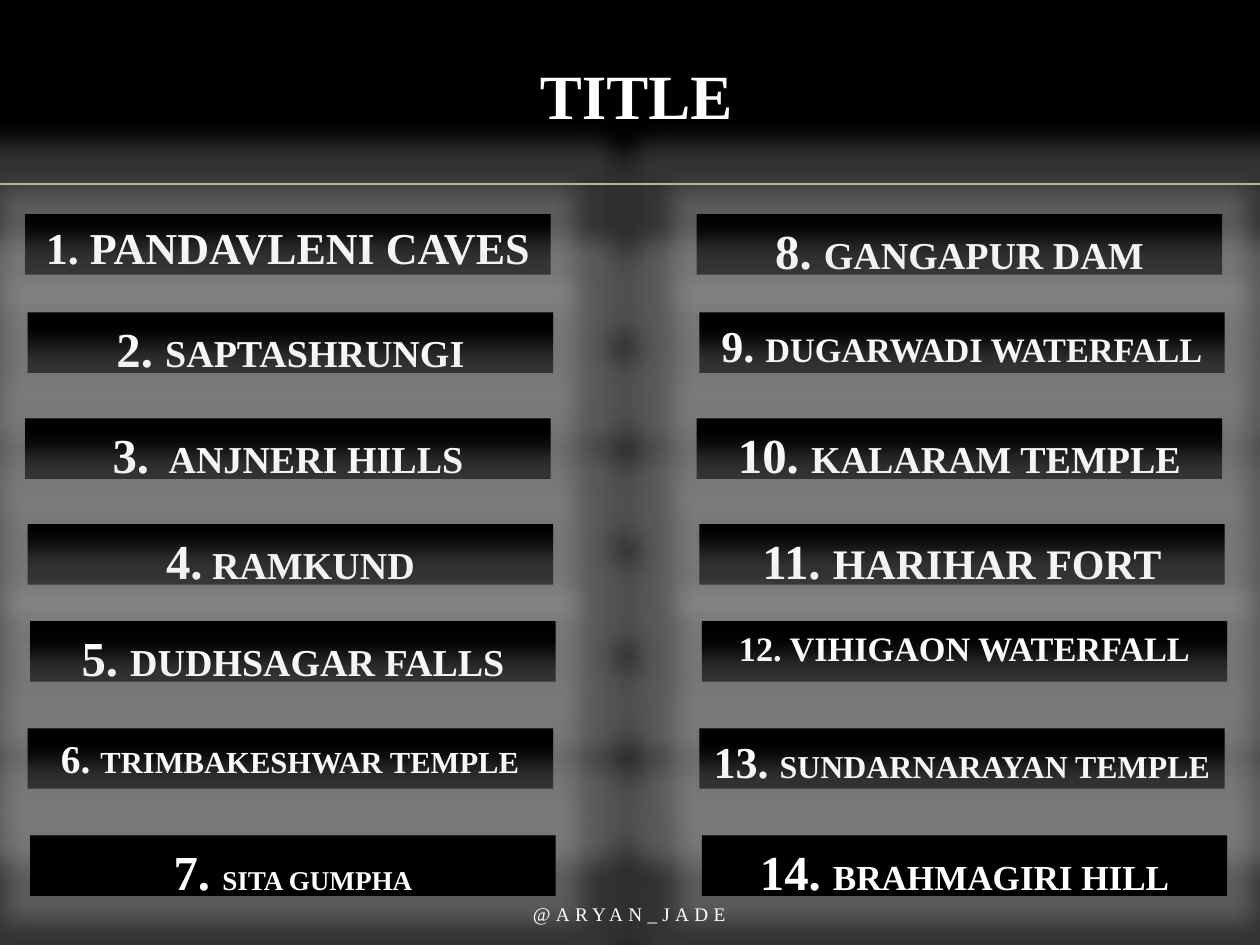
from lxml.etree import SubElement
from pptx import Presentation
from pptx.dml.color import RGBColor
from pptx.enum.shapes import MSO_CONNECTOR as CONNECTOR, MSO_SHAPE as SHAPE
from pptx.enum.text import MSO_ANCHOR as ANCHOR, PP_ALIGN as ALIGN
from pptx.oxml.ns import qn
from pptx.util import Inches, Pt

COLORS = {"black": "000000", "white": "FFFFFF", "rule": "BBAA8A"}
FONT = "Times New Roman"

# Each row: top, sideways nudge, then the left and right entry as (text, size) runs
ROWS = [
    (1.70, 0.00, [("1. PANDAVLENI CAVES", 25.2)],
     [("8. ", 27.9), ("GANGAPUR DAM", 21.7)]),
    (2.48, 0.02, [("2. ", 27.9), ("SAPTASHRUNGI", 21.7)],
     [("9. ", 25.2), ("DUGARWADI WATERFALL", 19.6)]),
    (3.32, 0.00, [("3. ", 27.9), (" ANJNERI HILLS", 21.7)],
     [("10. ", 27.9), ("KALARAM TEMPLE", 21.7)]),
    (4.16, 0.02, [("4.", 27.9), (" RAMKUND", 21.7)],
     [("11. ", 27.9), ("HARIHAR FORT", 24)]),
    (4.93, 0.04, [("5. ", 27.9), ("DUDHSAGAR FALLS", 21.7)],
     [("12. VIHIGAON WATERFALL", 19.6)]),
    (5.78, 0.02, [("6. ", 22.5), ("TRIMBAKESHWAR TEMPLE", 17.5)],
     [("13. ", 25.2), ("SUNDARNARAYAN TEMPLE", 18.2)]),
    (6.63, 0.04, [("7. ", 27.9), ("SITA GUMPHA", 15.5)],
     [("14. ", 27.9), ("BRAHMAGIRI HILL", 20.1)]),
]
COLUMN_LEFTS = (0.20, 5.53)
ENTRY_WIDTH, ENTRY_HEIGHT = 4.17, 0.48


def rgb(name):
    return RGBColor.from_string(COLORS[name])


def add_color(parent, name, alpha):
    color = SubElement(parent, qn("a:srgbClr"), val=COLORS[name])
    SubElement(color, qn("a:alpha"), val=str(alpha * 1000))


class SlideBuilder:
    def __init__(self, slide):
        self.slide = slide
        slide.background.fill.solid()
        slide.background.fill.fore_color.rgb = rgb("black")

    def set_line(self, shape, runs, anchor, bold=True, space_before=4):
        """Fill the shape with one centred line of (text, size) runs."""
        frame = shape.text_frame
        frame.word_wrap = True
        frame.vertical_anchor = anchor
        frame.margin_left = frame.margin_right = Inches(0.05)
        line = frame.paragraphs[0]
        line.alignment = ALIGN.CENTER
        line.space_before = Pt(space_before)
        for text, size in runs:
            run = line.add_run()
            run.text = text
            run.font.name = FONT
            run.font.size = Pt(size)
            run.font.bold = bold
            run.font.color.rgb = rgb("white")
        return line

    def add_title(self, text):
        title = self.slide.shapes.title
        title.left, title.top = Inches(2.8), Inches(0.36)
        title.width, title.height = Inches(4.5), Inches(0.77)
        title.fill.background()
        self.set_line(title, [(text, 36)], ANCHOR.MIDDLE)

    def add_rule(self, top):
        rule = self.slide.shapes.add_connector(
            CONNECTOR.STRAIGHT, 0, Inches(top), Inches(10), Inches(top))
        rule.line.color.rgb = rgb("rule")
        rule.line.width = Pt(1)
        SubElement(rule._element.spPr, qn("a:effectLst"))

    def add_entry(self, left, top, runs):
        entry = self.slide.shapes.add_shape(
            SHAPE.RECTANGLE, Inches(left), Inches(top),
            Inches(ENTRY_WIDTH), Inches(ENTRY_HEIGHT))
        entry.fill.solid()
        entry.fill.fore_color.rgb = rgb("black")
        entry.line.fill.background()
        self.add_glow(entry)
        self.set_line(entry, runs, ANCHOR.TOP)

    def add_glow(self, shape):
        """Give the shape a wide pale glow and a small dark shadow."""
        effects = SubElement(shape._element.spPr, qn("a:effectLst"))
        glow = SubElement(effects, qn("a:glow"), rad=str(Inches(0.4)))
        add_color(glow, "white", 20)
        shadow = SubElement(effects, qn("a:outerShdw"), blurRad=str(Pt(3.5)),
                            dist=str(Pt(2.2)), dir="5400000", rotWithShape="0")
        add_color(shadow, "black", 32)

    def add_signature(self, text):
        box = self.slide.shapes.add_textbox(
            Inches(1.58), Inches(7.09), Inches(6.83), Inches(0.32))
        line = self.set_line(box, [(text, 11)], ANCHOR.MIDDLE, bold=False,
                             space_before=0)
        line.runs[0].font._element.set("spc", "300")


def main():
    deck = Presentation()
    deck.slide_width, deck.slide_height = Inches(10), Inches(7.5)
    builder = SlideBuilder(deck.slides.add_slide(deck.slide_layouts[5]))
    builder.add_title("TITLE")
    builder.add_rule(1.46)
    for column, column_left in enumerate(COLUMN_LEFTS):
        for top, nudge, *entries in ROWS:
            builder.add_entry(column_left + nudge, top, entries[column])
    builder.add_signature("@ARYAN_JADE")
    deck.save("out.pptx")


if __name__ == "__main__":
    main()
